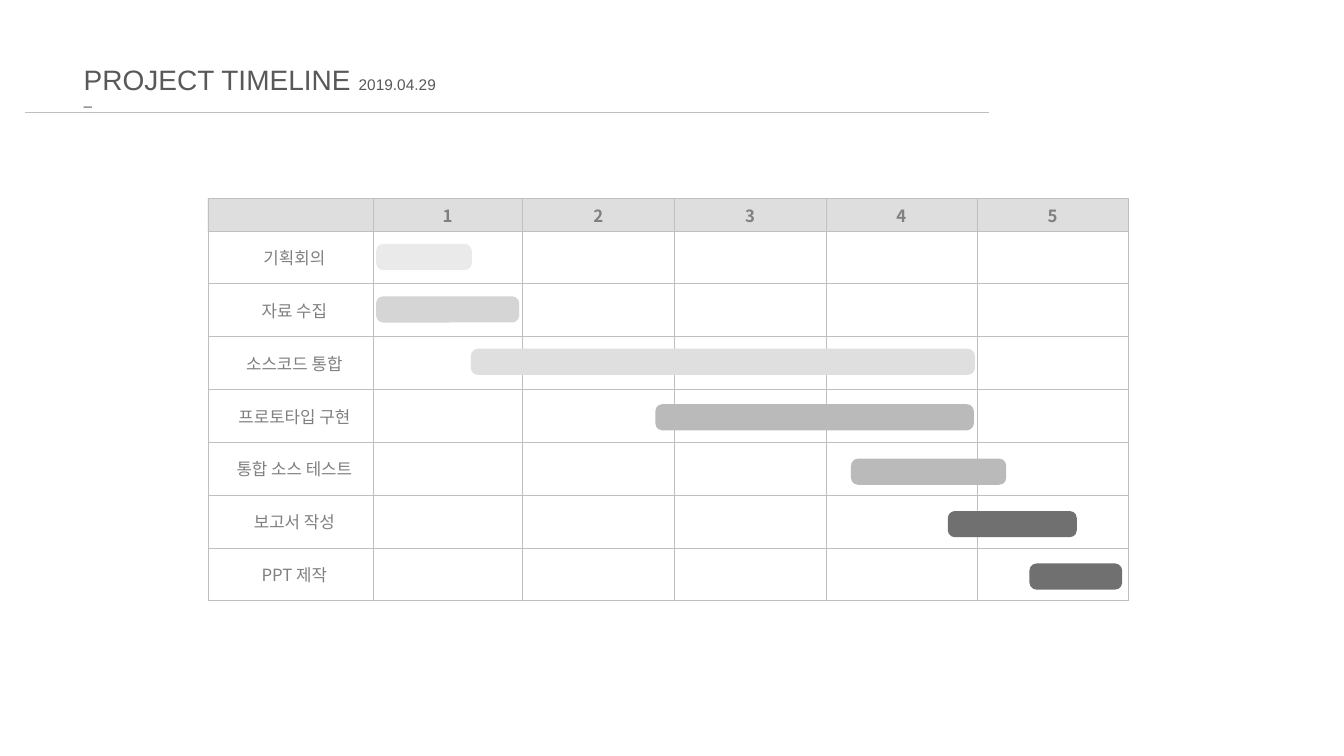
from pptx import Presentation
from pptx.dml.color import RGBColor as Rgb
from pptx.enum.shapes import MSO_CONNECTOR as Conn, MSO_SHAPE as Shape
from pptx.enum.text import MSO_ANCHOR as Anchor, MSO_AUTO_SIZE as Fit, PP_ALIGN as Align
from pptx.oxml.ns import qn
from pptx.util import Inches, Pt
from lxml.etree import SubElement as Sub

COLORS = {
    "rule": "BFBFBF", "title": "595959", "text": "808080",
    "pale": "EAEAEA", "soft": "D5D5D5", "light": "DFDFDF",
    "mid": "BABABA", "dark": "707070",
}
WIDTHS = [1.64, 1.48, 1.51, 1.5, 1.5, 1.5]
HEAD = 0.32
STEP = 3.67 / 7
# Task, bar left, bar top, bar width, bar colour
TASKS = [
    ("기획회의", 3.73, 2.42, 0.95, "pale"),
    ("자료 수집", 3.73, 2.94, 1.42, "soft"),
    ("소스코드 통합", 4.67, 3.46, 5.0, "light"),
    ("프로토타입 구현", 6.5, 4.01, 3.16, "mid"),
    ("통합 소스 테스트", 8.44, 4.55, 1.54, "mid"),
    ("보고서 작성", 9.4, 5.07, 1.28, "dark"),
    ("PPT 제작", 10.21, 5.59, 0.92, "dark"),
]


class Board:
    def __init__(self, slide):
        self.slide = slide
        self.sans = "Arial"
        self.hangul = "Noto Sans CJK KR"
        self.thin = Pt(0.25)

    def color(self, name):
        return Rgb.from_string(COLORS[name])

    def style(self, run, face, size, color, bold=False):
        font = run.font
        font.name, font.size, font.bold = face, Pt(size), bold
        font.color.rgb = self.color(color)
        Sub(font._element, qn("a:ea"), typeface=face)

    def title(self, head, date):
        box = self.slide.shapes.title
        box.left, box.top = Inches(0.73), Inches(0.57)
        box.width, box.height = Inches(3.73), Inches(0.44)
        frame = box.text_frame
        frame.word_wrap = False
        frame.auto_size = Fit.SHAPE_TO_FIT_TEXT
        frame.vertical_anchor = Anchor.TOP
        frame.text = f"{head} "
        para = frame.paragraphs[0]
        para.alignment = Align.LEFT
        para.add_run().text = date
        para.add_line_break()
        para.add_run().text = "–"
        for run, size in zip(para.runs, (20, 11, 11)):
            self.style(run, self.sans, size, "title")

    def line(self, left, right, top):
        rule = self.slide.shapes.add_connector(
            Conn.STRAIGHT, Inches(left), Inches(top), Inches(right), Inches(top))
        rule.line.color.rgb = self.color("rule")
        rule.line.width = self.thin
        Sub(rule._element.spPr, qn("a:effectLst"))

    def bar(self, left, top, width, color):
        bar = self.slide.shapes.add_shape(
            Shape.ROUNDED_RECTANGLE, Inches(left), Inches(top), Inches(width), Inches(0.26))
        bar.adjustments[0] = 0.27
        bar.shadow.inherit = False
        bar.fill.solid()
        bar.fill.fore_color.rgb = self.color(color)
        bar.line.fill.background()

    def edge(self, cell):
        """Draw a thin rule on all four sides of a cell."""
        props = cell._tc.get_or_add_tcPr()
        for side in ("lnL", "lnR", "lnT", "lnB"):
            rule = Sub(props, qn(f"a:{side}"), w=str(self.thin))
            fill = Sub(rule, qn("a:solidFill"))
            Sub(fill, qn("a:srgbClr"), val=COLORS["rule"])

    def cell(self, cell, text, head):
        self.edge(cell)
        if head:
            cell.fill.solid()
            cell.fill.fore_color.rgb = self.color("rule")
            tint = cell._tc.tcPr.find(f"{qn('a:solidFill')}/{qn('a:srgbClr')}")
            Sub(tint, qn("a:alpha"), val="50000")
        else:
            cell.fill.background()
        cell.margin_top = cell.margin_bottom = Inches(0.04)
        cell.vertical_anchor = Anchor.BOTTOM if head else Anchor.MIDDLE
        para = cell.text_frame.paragraphs[0]
        para.alignment = Align.CENTER
        if text:
            para.text = text
            if not head:
                para._p.get_or_add_pPr().set("marL", str(Inches(0.08)))
            self.style(para.runs[0], self.hangul, 12, "text", head)
        else:
            para._p.get_or_add_endParaRPr().set("sz", "1200")

    def table(self, rows):
        grid = self.slide.shapes.add_table(
            len(rows), len(WIDTHS), Inches(2.06), Inches(1.97),
            Inches(sum(WIDTHS)), Inches(HEAD + STEP * (len(rows) - 1))).table
        grid.first_row = grid.horz_banding = False
        for col, width in zip(grid.columns, WIDTHS):
            col.width = Inches(width)
        for i, row in enumerate(rows):
            grid.rows[i].height = Inches(STEP if i else HEAD)
            for j, text in enumerate(row):
                self.cell(grid.cell(i, j), text, i == 0)


def main():
    deck = Presentation()
    deck.slide_width, deck.slide_height = Inches(13.33), Inches(7.5)
    board = Board(deck.slides.add_slide(deck.slide_layouts[5]))
    board.title("PROJECT TIMELINE", "2019.04.29")
    board.line(0.25, 9.81, 1.11)
    months = len(WIDTHS) - 1
    head = ["", *(str(n + 1) for n in range(months))]
    board.table([head] + [[task[0]] + [""] * months for task in TASKS])
    for _, *place in TASKS:
        board.bar(*place)
    deck.save("out.pptx")


if __name__ == "__main__":
    main()
